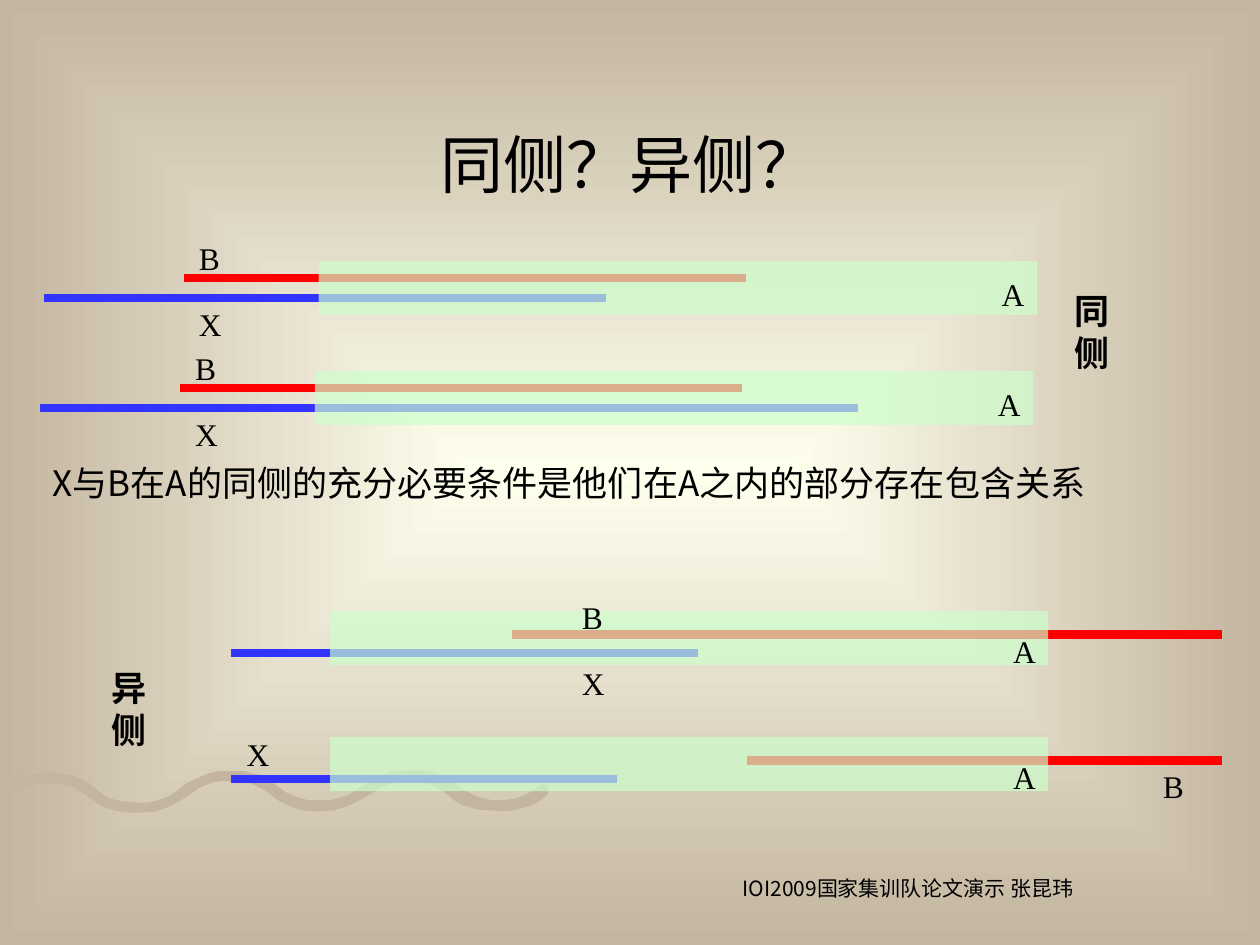
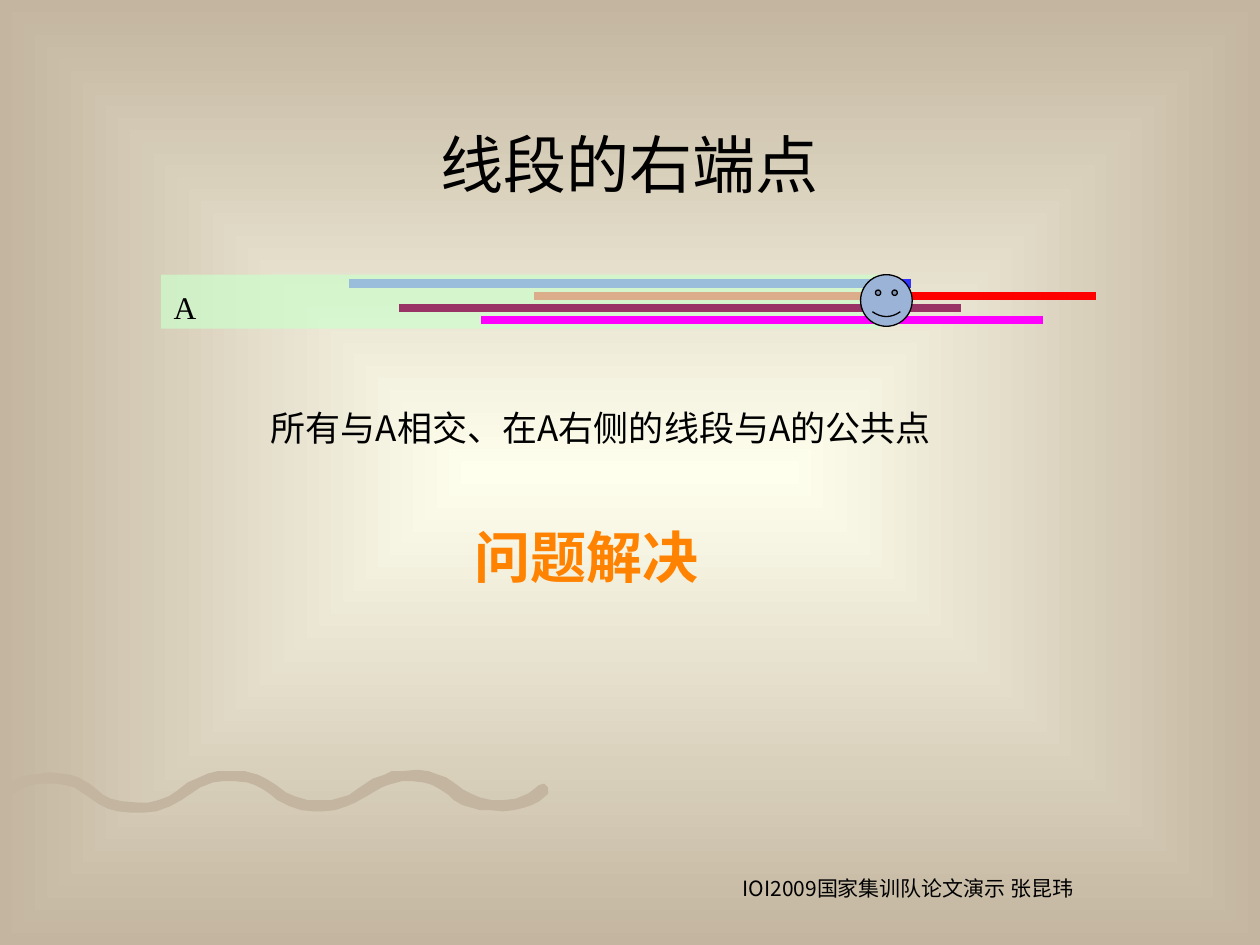
from lxml.etree import SubElement
from pptx import Presentation
from pptx.dml.color import RGBColor
from pptx.enum.shapes import MSO_CONNECTOR, MSO_SHAPE
from pptx.enum.text import MSO_ANCHOR, PP_ALIGN
from pptx.oxml.ns import qn
from pptx.util import Inches, Pt

COLS, ROWS = 100, 75
SANS, SERIF = "Noto Sans CJK SC", "Times New Roman"
BLACK, CREAM, TAN = "000000", "FFFFEE", "C3B59F"
BLUE, RED, PLUM, PINK = "3333FF", "FF0000", "993366", "FF00FF"
MINT, STEEL, ORANGE = "CCFFCC", "9CB3D8", "FF8200"
BAND_W, BAND_H = 57, 4.3
SEGMENT_W = 44.6

WAVE = [
    (1, 628), (7, 622), (12, 619), (18, 616), (25, 615), (32, 614), (39, 613),
    (49, 614), (56, 615), (62, 617), (71, 622), (76, 626), (82, 631), (88, 634),
    (97, 636), (109, 637), (118, 637), (126, 635), (134, 632), (140, 628),
    (149, 621), (156, 618), (165, 614), (173, 612), (181, 612), (194, 612),
    (205, 615), (211, 618), (219, 623), (227, 629), (234, 632), (244, 635),
    (253, 635), (263, 635), (270, 633), (277, 631), (284, 626), (290, 622),
    (296, 618), (305, 615), (311, 612), (320, 612), (331, 611), (340, 612),
    (348, 615), (354, 617), (360, 621), (368, 627), (374, 630), (381, 633),
    (390, 635), (400, 635), (409, 634), (419, 630), (423, 627), (428, 623),
    (432, 622), (435, 625), (435, 630), (428, 636), (422, 639), (416, 641),
    (408, 643), (399, 644), (389, 643), (381, 643), (374, 641), (367, 639),
    (360, 635), (356, 631), (350, 627), (343, 623), (336, 621), (327, 620),
    (319, 620), (308, 623), (303, 625), (296, 629), (291, 632), (282, 637),
    (275, 640), (266, 643), (256, 644), (249, 644), (239, 643), (230, 640),
    (220, 635), (214, 630), (208, 626), (202, 623), (196, 621), (186, 620),
    (177, 620), (169, 621), (159, 625), (153, 629), (144, 635), (135, 640),
    (124, 644), (114, 645), (104, 645), (94, 644), (86, 642), (78, 638),
    (71, 633), (65, 629), (59, 625), (51, 623), (44, 622), (33, 622),
    (25, 623), (17, 626), (10, 630), (0, 639),
]


def rgb(value):
    return RGBColor.from_string(value)


def put_text(sp, text, size=18, font=SERIF, color=BLACK, bold=False, align=PP_ALIGN.LEFT,
             anchor=MSO_ANCHOR.TOP, wrap=False, spacing=None, before=None, top=0.05):
    tf = sp.text_frame
    tf.word_wrap, tf.vertical_anchor = wrap, anchor
    tf.margin_top = Inches(top)
    for i, line in enumerate(text.split("\n")):
        p = tf.add_paragraph() if i else tf.paragraphs[0]
        p.alignment = align
        if spacing:
            p.line_spacing = spacing
        if before:
            p.space_before = Pt(before)
        r = p.add_run()
        r.text = line
        r.font.size, r.font.name, r.font.bold = Pt(size), font, bold
        r.font.color.rgb = rgb(color)
        SubElement(r.font._element, qn("a:ea")).set("typeface", SANS)


class Deck:
    def __init__(self):
        self.prs = Presentation()
        self.prs.slide_width, self.prs.slide_height = Inches(10), Inches(7.5)
        self.col = self.prs.slide_width / COLS
        self.row = self.prs.slide_height / ROWS
        self.s = None
        self.background()

    def box(self, x, y, w, h):
        return [int(n) for n in (x * self.col, y * self.row, w * self.col, h * self.row)]

    def background(self):
        master = self.prs.slide_master
        fill = master.background.fill
        fill.gradient()
        for stop, color in zip(fill.gradient_stops, (CREAM, TAN)):
            stop.color.rgb = rgb(color)
        grad = master.element.find(".//" + qn("p:bg")).find(".//" + qn("a:gradFill"))
        grad.remove(grad.find(qn("a:lin")))
        route = SubElement(grad, qn("a:path"))
        route.set("path", "rect")
        center = SubElement(route, qn("a:fillToRect"))
        for side in "ltrb":
            center.set(side, "50000")

    def slide(self, title):
        self.s = self.prs.slides.add_slide(self.prs.slide_layouts[6])
        self.wave()
        self.text(title, 7.5, 6.7, 85, 12.5, size=36, font=SANS, wrap=True,
                  align=PP_ALIGN.CENTER, anchor=MSO_ANCHOR.MIDDLE)
        self.text("IOI2009国家集训队论文演示 张昆玮", 49.2, 69, 37, 4.3, size=12,
                  font=SANS, wrap=True, align=PP_ALIGN.RIGHT, before=7.5)

    def wave(self):
        fb = self.s.shapes.build_freeform(*WAVE[0], scale=self.col / 10)
        fb.add_line_segments(WAVE[1:], close=True)
        self.paint(fb.convert_to_shape(), TAN)

    def paint(self, sp, fill, line=None):
        sp.shadow.inherit = False
        sp.fill.solid()
        sp.fill.fore_color.rgb = rgb(fill)
        if line:
            sp.line.color.rgb = rgb(line)
            sp.line.width = Pt(0.75)
        else:
            sp.line.fill.background()

    def text(self, text, x, y, w, h, **fmt):
        put_text(self.s.shapes.add_textbox(*self.box(x, y, w, h)), text, **fmt)

    def label(self, text, x, y):
        self.text(text, x, y, 3.8, 11.5 if "\n" in text else 6.3, spacing=1.75)

    def side_name(self, text, x, y):
        self.text(text, x, y, 4.1, 7.7, size=20, bold=True, wrap=True)

    def segment(self, x1, x2, y, color):
        x1, y, x2, _ = self.box(x1, y, x2, 0)
        cn = self.s.shapes.add_connector(MSO_CONNECTOR.STRAIGHT, x1, y, x2, y)
        cn.line.color.rgb = rgb(color)
        cn.line.width = Pt(4.75)
        SubElement(cn.element.spPr, qn("a:effectLst"))

    def band(self, x, y, **fmt):
        sp = self.s.shapes.add_shape(MSO_SHAPE.RECTANGLE, *self.box(x, y, BAND_W, BAND_H))
        self.paint(sp, MINT)
        tint = sp.element.spPr.find(".//" + qn("a:srgbClr"))
        SubElement(tint, qn("a:alpha")).set("val", "68000")
        put_text(sp, "A", spacing=1.3, **fmt)

    def smiley(self, x, y, size):
        sp = self.s.shapes.add_shape(MSO_SHAPE.SMILEY_FACE, *self.box(x, y, size, size))
        self.paint(sp, STEEL, BLACK)


def same_side(d, x, y, blue_end):
    d.segment(x - 21.8, blue_end, y + 2.95, BLUE)
    d.segment(x - 10.7, x - 10.7 + SEGMENT_W, y + 1.35, RED)
    d.band(x, y, align=PP_ALIGN.RIGHT, anchor=MSO_ANCHOR.MIDDLE)
    d.label("B\nX", x - 10.5, y - 4.5)


def opposite_side(d, y, blue_end, red_start):
    d.segment(18.3, blue_end, y + 3.3, BLUE)
    d.segment(red_start, 97, y + 1.85, RED)
    d.band(26.2, y, align=PP_ALIGN.RIGHT, top=0.08)


def sides_slide(d):
    d.slide("同侧？异侧？")
    d.text("X与B在A的同侧的充分必要条件是他们在A之内的部分存在包含关系",
           3.2, 36.1, 90.9, 10.6, size=20, font=SANS)
    same_side(d, 25.3, 20.7, 48.1)
    same_side(d, 25, 29.45, 68.1)
    d.side_name("同侧", 84.3, 22.5)
    opposite_side(d, 48.5, 55.4, 40.6)
    d.label("B\nX", 45.2, 44.7)
    opposite_side(d, 58.5, 49, 59.3)
    d.label("X", 18.6, 55.6)
    d.label("B", 91.3, 58.1)
    d.side_name("异侧", 7.9, 52.4)


def endpoint_slide(d):
    d.slide("线段的右端点")
    starts = [(27.7, BLUE), (42.4, RED), (31.7, PLUM), (38.2, PINK)]
    for i, (x, color) in enumerate(starts):
        if i == 2:
            d.band(12.8, 21.8, anchor=MSO_ANCHOR.MIDDLE)
        d.segment(x, x + SEGMENT_W, 22.5 + 0.97 * i, color)
    d.smiley(68.3, 21.8, 4.1)
    d.text("所有与A相交、在A右侧的线段与A的公共点", 20.5, 31.8, 59.9, 4.4, size=20, font=SANS)
    d.text("问题解决", 36.7, 41, 31.6, 17.5, size=32, font=SANS, color=ORANGE, bold=True)


def main():
    d = Deck()
    sides_slide(d)
    endpoint_slide(d)
    d.prs.save("out.pptx")


if __name__ == "__main__":
    main()
